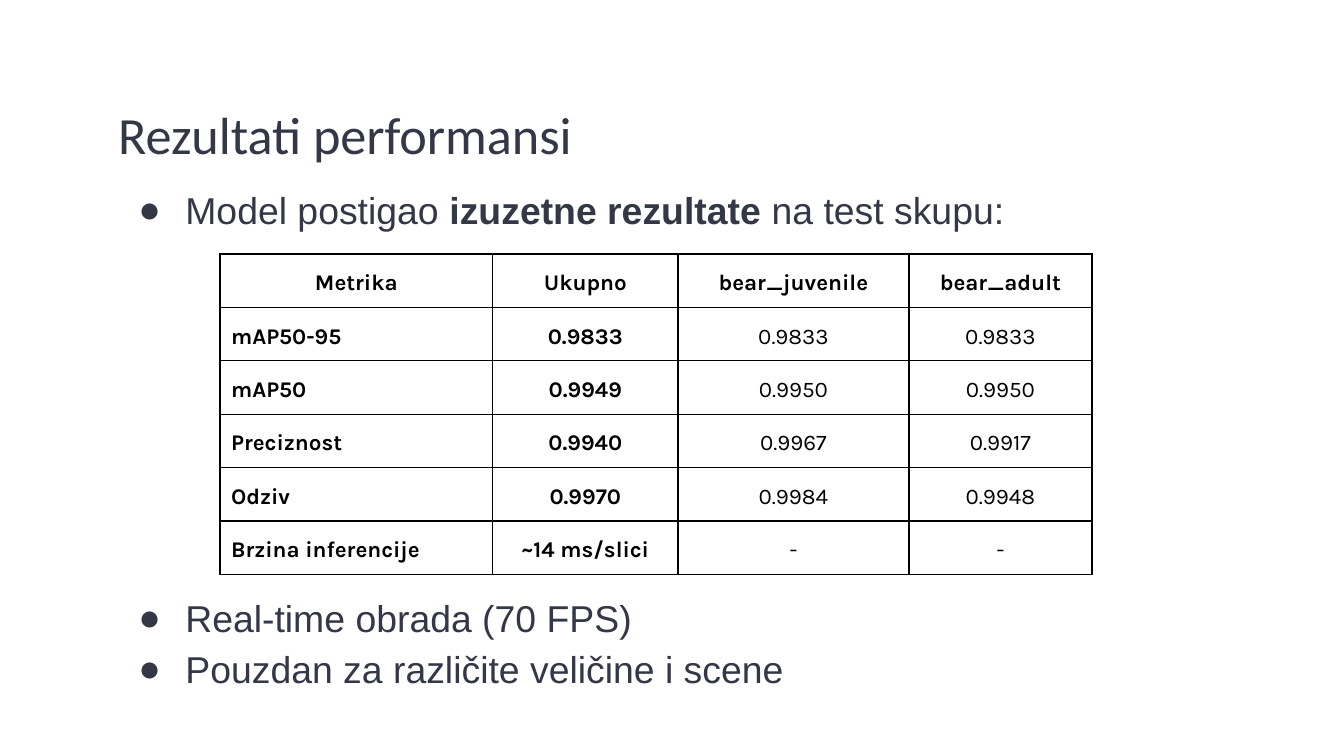
from lxml import etree
from pptx import Presentation
from pptx.dml.color import RGBColor
from pptx.enum.text import MSO_ANCHOR, PP_ALIGN
from pptx.oxml.ns import qn
from pptx.util import Pt

LEFT, CENTER = PP_ALIGN.LEFT, PP_ALIGN.CENTER
TOP, MIDDLE = MSO_ANCHOR.TOP, MSO_ANCHOR.MIDDLE

COLORS = {"text": "333746", "table": "000000"}
TITLE_FORMAT = {"name": "Calibri", "size": Pt(28)}
BODY_FORMAT = {"name": "Arial", "size": Pt(20)}
CELL_FORMAT = {"name": "Karla", "size": Pt(12)}

TABLE_GAP = 191
BULLETS = [
    (0, [("Model postigao ", False), ("izuzetne rezultate ", True),
         ("na test skupu:", False)]),
    (TABLE_GAP, [("Real-time obrada (70 FPS)", False)]),
    (0, [("Pouzdan za različite veličine i scene", False)]),
]
COLUMN_WIDTHS = [146.2, 99.2, 123.8, 98]
ROW_HEIGHT = 28.6
METRICS = [
    ["Metrika", "Ukupno", "bear_juvenile", "bear_adult"],
    ["mAP50-95", "0.9833", "0.9833", "0.9833"],
    ["mAP50", "0.9949", "0.9950", "0.9950"],
    ["Preciznost", "0.9940", "0.9967", "0.9917"],
    ["Odziv", "0.9970", "0.9984", "0.9948"],
    ["Brzina inferencije", "~14 ms/slici", "-", "-"],
]


def set_all(target, values):
    for key, value in values.items():
        setattr(target, key, value)


class SlideBuilder:
    def __init__(self, slide):
        self.slide = slide

    def add_run(self, paragraph, text, font_format, color, bold=False):
        run = paragraph.add_run()
        run.text = text
        set_all(run.font, {**font_format, "bold": bold})
        run.font.color.rgb = RGBColor.from_string(COLORS[color])

    def text_frame(self, left, top, width, height):
        box = self.slide.shapes.add_textbox(Pt(left), Pt(top), Pt(width), Pt(height))
        frame = box.text_frame
        margins = dict.fromkeys(
            ("margin_left", "margin_right", "margin_top", "margin_bottom"), Pt(7.2))
        set_all(frame, {**margins, "word_wrap": True, "vertical_anchor": TOP})
        return frame

    def title(self, text, *bounds):
        paragraph = self.text_frame(*bounds).paragraphs[0]
        paragraph.line_spacing = 1.15
        self.add_run(paragraph, text, TITLE_FORMAT, "text")

    def bullet_list(self, items, *bounds):
        """Each item is (space before, [(text, bold), ...])."""
        frame = self.text_frame(*bounds)
        for index, (gap, parts) in enumerate(items):
            paragraph = frame.add_paragraph() if index else frame.paragraphs[0]
            self.add_bullet(paragraph)
            paragraph.line_spacing = 1.15
            if gap:
                paragraph.space_before = Pt(gap)
            for text, bold in parts:
                self.add_run(paragraph, text, BODY_FORMAT, "text", bold)

    def add_bullet(self, paragraph):
        properties = paragraph._p.get_or_add_pPr()
        properties.set("marL", str(Pt(36)))
        properties.set("indent", str(Pt(-25.2)))
        color = etree.SubElement(properties, qn("a:buClr"))
        etree.SubElement(color, qn("a:srgbClr"), val=COLORS["text"])
        etree.SubElement(properties, qn("a:buFont"), typeface="Arial")
        etree.SubElement(properties, qn("a:buChar"), char="●")

    def metrics_table(self, rows, left, top):
        """The header row and the first two columns are bold."""
        table = self.slide.shapes.add_table(
            len(rows), len(COLUMN_WIDTHS), Pt(left), Pt(top),
            Pt(sum(COLUMN_WIDTHS)), Pt(ROW_HEIGHT * len(rows))).table
        set_all(table, {"first_row": False, "horz_banding": False})
        for column, width in zip(table.columns, COLUMN_WIDTHS):
            column.width = Pt(width)
        for r, values in enumerate(rows):
            table.rows[r].height = Pt(ROW_HEIGHT)
            for c, value in enumerate(values):
                align = LEFT if r and not c else CENTER
                self.fill_cell(table.cell(r, c), value, align, r == 0 or c < 2)

    def fill_cell(self, cell, text, align, bold):
        margins = dict.fromkeys(
            ("margin_left", "margin_right", "margin_top", "margin_bottom"), Pt(6))
        set_all(cell, {**margins, "vertical_anchor": MIDDLE})
        self.add_borders(cell)
        cell.fill.background()
        paragraph = cell.text_frame.paragraphs[0]
        set_all(paragraph, {"alignment": align, "line_spacing": Pt(16.6)})
        self.add_run(paragraph, text, CELL_FORMAT, "table", bold)

    def add_borders(self, cell):
        properties = cell._tc.get_or_add_tcPr()
        for side in ("lnL", "lnR", "lnT", "lnB"):
            border = etree.SubElement(properties, qn(f"a:{side}"), w=str(Pt(0.75)))
            fill = etree.SubElement(border, qn("a:solidFill"))
            etree.SubElement(fill, qn("a:srgbClr"), val=COLORS["table"])


def main():
    presentation = Presentation()
    set_all(presentation, {"slide_width": Pt(720), "slide_height": Pt(405)})
    builder = SlideBuilder(presentation.slides.add_slide(presentation.slide_layouts[6]))
    builder.title("Rezultati performansi", 56.2, 42.5, 607.6, 55.4)
    builder.bullet_list(BULLETS, 56.2, 89.3, 607.6, 265)
    builder.metrics_table(METRICS, 117.8, 136.1)
    presentation.save("out.pptx")


if __name__ == "__main__":
    main()
